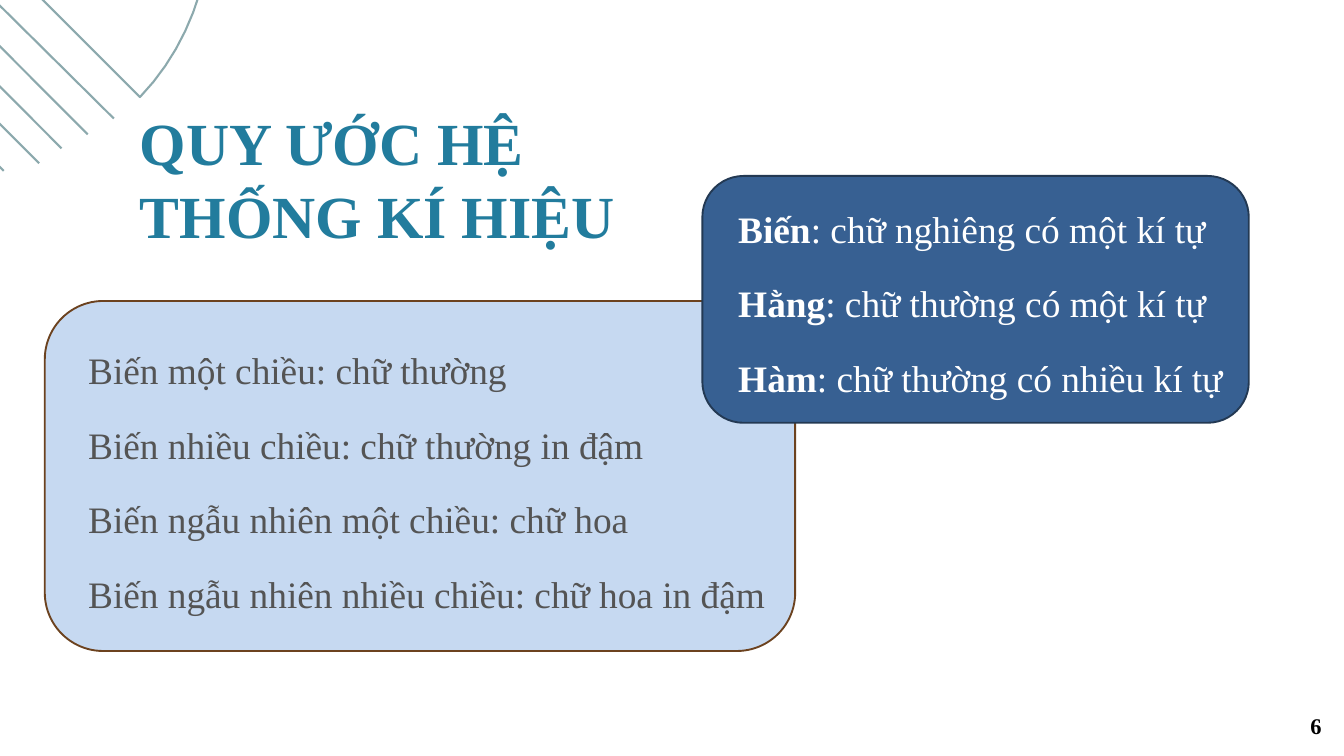
from lxml.etree import SubElement
from pptx import Presentation
from pptx.dml.color import RGBColor
from pptx.enum.shapes import MSO_CONNECTOR, MSO_SHAPE
from pptx.enum.text import MSO_ANCHOR, PP_ALIGN
from pptx.oxml.ns import qn
from pptx.util import Pt

FONT = "Times New Roman"
COLORS = {
    "title": "227C9D",
    "body": "545454",
    "white": "FFFFFF",
    "black": "000000",
    "light_card": "C6D9F1",
    "light_card_line": "6C421F",
    "dark_card": "376092",
    "dark_card_line": "233953",
    "ornament": "8CA9AD",
}

# Corner ornament: one sector outline and five diagonal strokes, in points
SECTOR_START = (61, -358)
SECTOR_CURVES = [
    ((89, -343), (118, -324), (142, -301)),
    ((166, -277), (184, -251), (198, -222)),
    ((249, -113), (230, 21), (150, 104)),
]
SECTOR_CORNER = (-263, -309)
SECTOR_LAST_CURVE = ((-179, -390), (-46, -409), SECTOR_START)
DIAGONALS = [
    ((-286, -277), (122, 127)),
    ((-302, -253), (94, 144)),
    ((-317, -225), (66, 159)),
    ((-327, -194), (42, 175)),
    ((-338, -159), (4, 183)),
]

# Each line is a list of (text, bold) runs
TITLE = [[("QUY ƯỚC HỆ THỐNG KÍ HIỆU", True)]]
SYMBOL_RULES = [
    [("Biến", True), (": chữ nghiêng có một kí tự", False)],
    [("Hằng", True), (": chữ thường có một kí tự", False)],
    [("Hàm", True), (": chữ thường có nhiều kí tự", False)],
]
VARIABLE_RULES = [
    [("Biến một chiều: chữ thường", False)],
    [("Biến nhiều chiều: chữ thường in đậm", False)],
    [("Biến ngẫu nhiên một chiều: chữ hoa", False)],
    [("Biến ngẫu nhiên nhiều chiều: chữ hoa in đậm", False)],
]


def color(name):
    return RGBColor.from_string(COLORS[name])


def style_line(line, name, width):
    line.color.rgb = color(name)
    line.width = Pt(width)


def add_card(slide, left, top, width, height, fill, line):
    shape = slide.shapes.add_shape(
        MSO_SHAPE.ROUNDED_RECTANGLE, Pt(left), Pt(top), Pt(width), Pt(height))
    shape.shadow.inherit = False
    shape.fill.solid()
    shape.fill.fore_color.rgb = color(fill)
    style_line(shape.line, line, 2)


def curve_points(start, control_1, control_2, end, steps=16):
    """Return points along a cubic curve, without its start."""
    points = []
    for step in range(1, steps + 1):
        t = step / steps
        weights = ((1 - t) ** 3, 3 * t * (1 - t) ** 2, 3 * t ** 2 * (1 - t), t ** 3)
        corners = (start, control_1, control_2, end)
        points.append(tuple(
            sum(weight * corner[axis] for weight, corner in zip(weights, corners))
            for axis in (0, 1)))
    return points


def add_sector(slide):
    points = [SECTOR_START]
    for curve in SECTOR_CURVES:
        points += curve_points(points[-1], *curve)
    points.append(SECTOR_CORNER)
    points += curve_points(SECTOR_CORNER, *SECTOR_LAST_CURVE)
    outline = [(Pt(x), Pt(y)) for x, y in points]
    builder = slide.shapes.build_freeform(*outline[0])
    builder.add_line_segments(outline[1:-1], close=True)
    shape = builder.convert_to_shape()
    shape.shadow.inherit = False
    shape.fill.background()
    style_line(shape.line, "ornament", 2.25)


def add_diagonal(slide, start, end):
    connector = slide.shapes.add_connector(
        MSO_CONNECTOR.STRAIGHT, *(Pt(value) for value in start + end))
    style_line(connector.line, "ornament", 2.25)
    SubElement(connector._element.spPr, qn("a:effectLst"))


def add_text(slide, lines, *, left, top, width, height, size, font_color,
             line_spacing=None, margin=0, align=PP_ALIGN.LEFT,
             anchor=MSO_ANCHOR.TOP):
    box = slide.shapes.add_textbox(Pt(left), Pt(top), Pt(width), Pt(height))
    frame = box.text_frame
    frame.word_wrap = True
    frame.vertical_anchor = anchor
    frame.margin_left = frame.margin_right = Pt(margin)
    frame.margin_top = frame.margin_bottom = Pt(0)
    for index, runs in enumerate(lines):
        paragraph = frame.add_paragraph() if index else frame.paragraphs[0]
        paragraph.alignment = align
        if line_spacing:
            paragraph.line_spacing = Pt(line_spacing)
        for text, bold in runs:
            run = paragraph.add_run()
            run.text = text
            run.font.name = FONT
            run.font.size = Pt(size)
            run.font.bold = bold
            run.font.color.rgb = color(font_color)


def main():
    presentation = Presentation()
    presentation.slide_width = Pt(1440)
    presentation.slide_height = Pt(810)
    slide = presentation.slides.add_slide(presentation.slide_layouts[6])

    # Overlapping cards
    add_card(slide, 48, 322.5, 804, 375, "light_card", "light_card_line")
    add_card(slide, 752.5, 188.5, 585.5, 264.5, "dark_card", "dark_card_line")

    # Corner ornament
    add_sector(slide)
    for start, end in DIAGONALS:
        add_diagonal(slide, start, end)

    # Title and card texts
    add_text(slide, TITLE, left=150, top=112, width=520, height=153,
             size=64, font_color="title", line_spacing=78.4)
    add_text(slide, SYMBOL_RULES, left=791, top=188.5, width=528.5, height=231,
             size=40, font_color="white", line_spacing=80)
    add_text(slide, VARIABLE_RULES, left=94.5, top=340, width=773, height=393,
             size=40, font_color="body", line_spacing=80)

    # Slide number
    add_text(slide, [[("6", True)]], left=1255, top=763, width=168, height=29,
             size=24, font_color="black", margin=7.2,
             align=PP_ALIGN.RIGHT, anchor=MSO_ANCHOR.MIDDLE)

    presentation.save("out.pptx")


if __name__ == "__main__":
    main()
